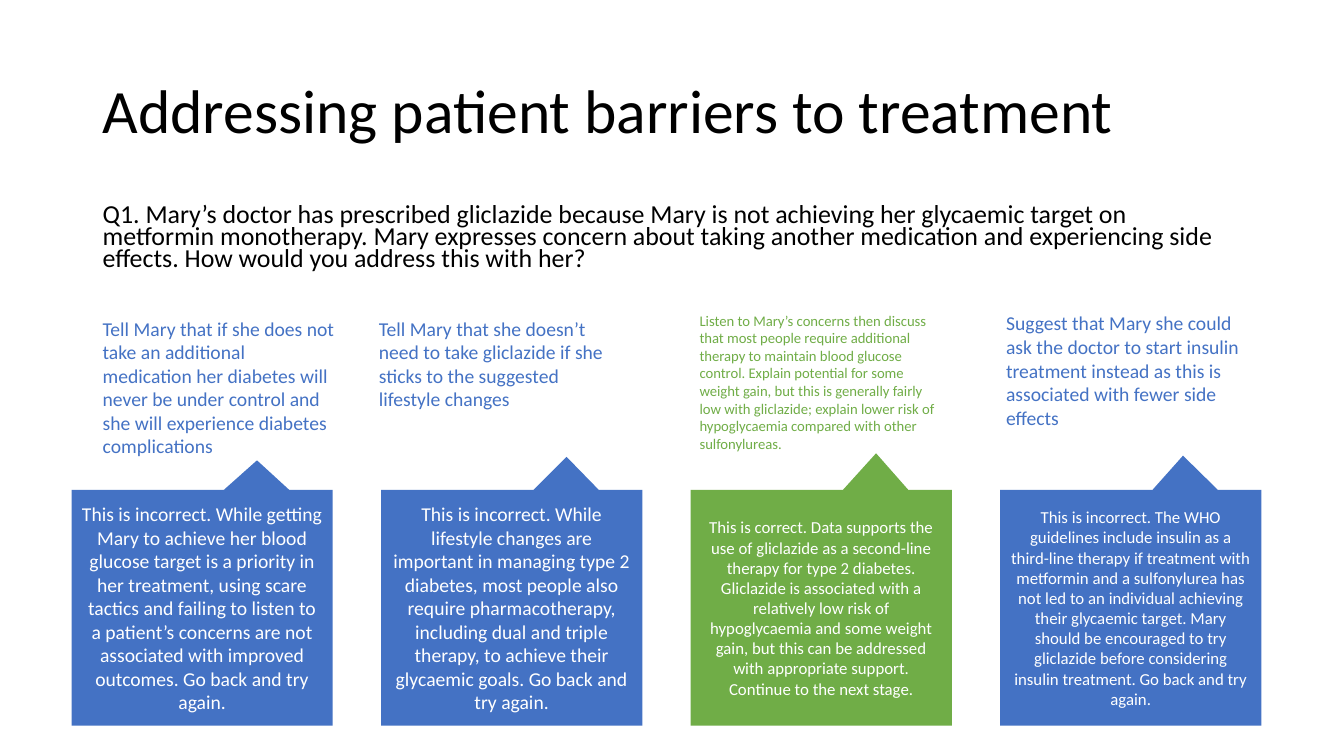
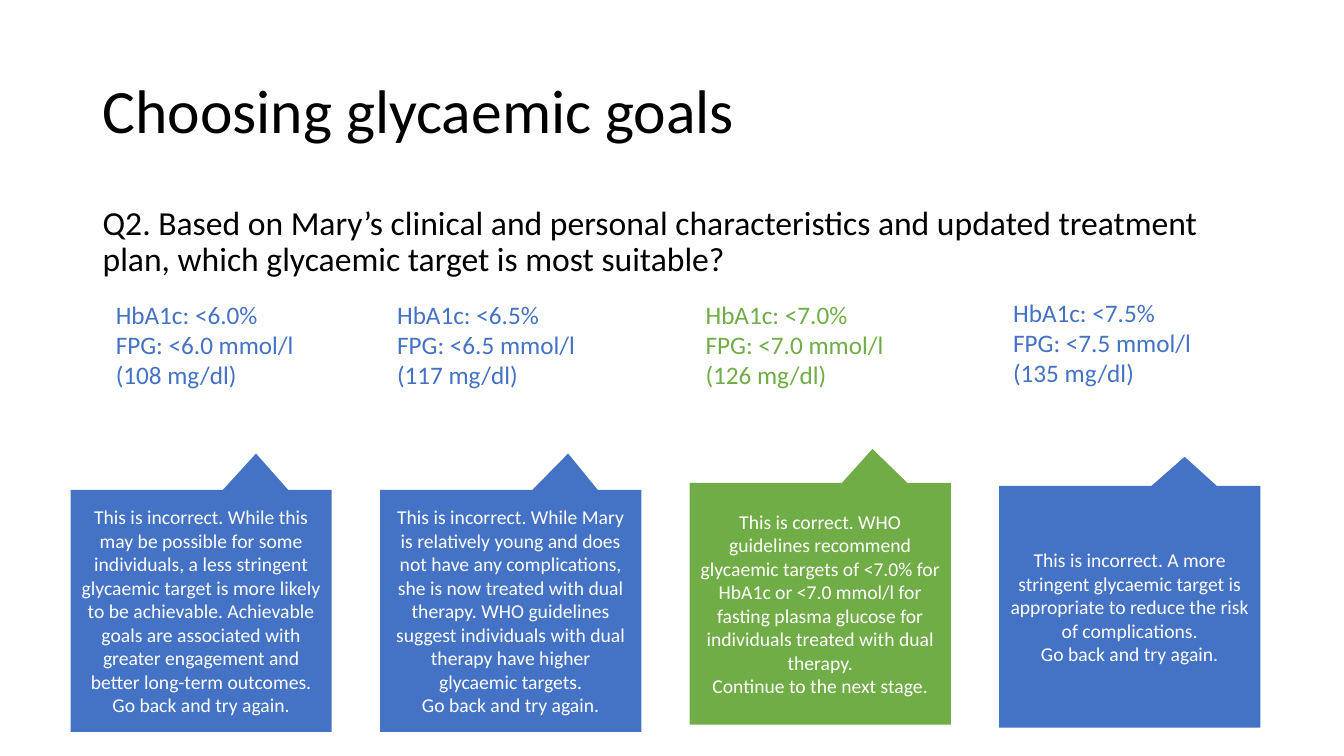
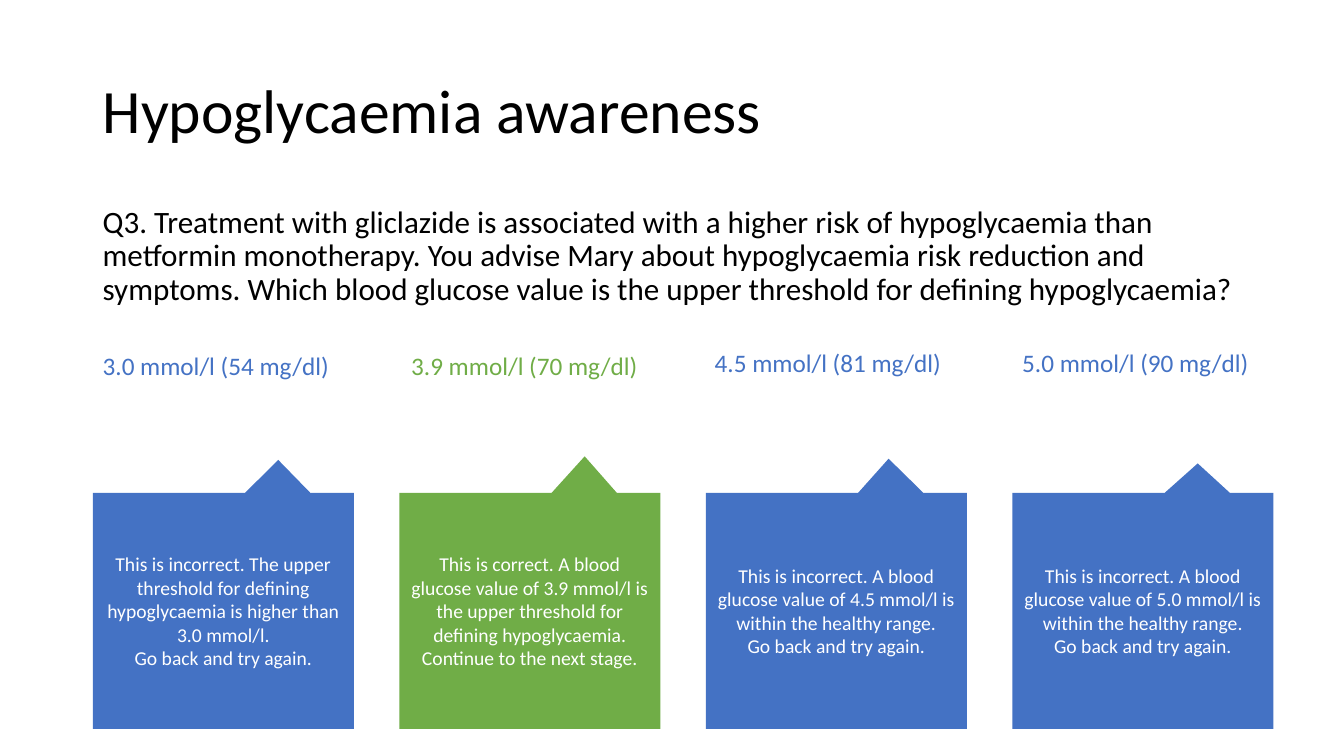
import pptx
import pptx.util
import pptx.dml.color
import pptx.enum.shapes
import pptx.enum.text
from dataclasses import dataclass

Inches = pptx.util.Inches
ALIGN = pptx.enum.text.PP_ALIGN
ANCHOR = pptx.enum.text.MSO_ANCHOR


@dataclass(frozen=True)
class Theme:
    font: str = "Calibri"
    ink: str = "000000"
    paper: str = "FFFFFF"
    wrong: str = "4472C4"
    right: str = "70AD47"
    title_size: float = 44
    label_size: float = 18
    answer_size: float = 14
    small_size: float = 12
    tiny_size: float = 10.5


THEME = Theme()
RETRY = "Go back and try again."
NEXT = "Continue to the next stage."


@dataclass
class Option:
    label: str
    feedback: str
    tip: tuple                  # callout tip, as shares of its width and height
    label_at: tuple             # label offset from column left and slide top
    correct: bool = False
    label_size: float = THEME.label_size
    feedback_size: float = THEME.answer_size
    shift: float = 0            # callout offset from the row top


@dataclass
class Quiz:
    title: str
    question: str
    question_size: float
    options: list
    row: tuple                  # left, top, column pitch, callout height
    spacing: float = 0.9
    label_width: float = 2.54


def rgb(value):
    return pptx.dml.color.RGBColor.from_string(value)


def write(shape, text, *, size, color=THEME.ink, align=ALIGN.LEFT,
          anchor=ANCHOR.TOP, spacing=1.0):
    """Fill a shape with text, one paragraph a line."""
    tf = shape.text_frame
    tf.word_wrap = True
    tf.vertical_anchor = anchor
    for i, line in enumerate(text.split("\n")):
        p = tf.paragraphs[0] if i == 0 else tf.add_paragraph()
        p.alignment = align
        p.line_spacing = spacing
        r = p.add_run()
        r.text = line
        r.font.name = THEME.font
        r.font.size = pptx.util.Pt(size)
        r.font.color.rgb = rgb(color)


def add_text(s, box, text, **fmt):
    sp = s.shapes.add_textbox(*map(Inches, box))
    write(sp, text, **fmt)


def add_heading(s, quiz, left=0.92, width=11.5):
    add_text(s, (left, 0.4, width, 1.45), quiz.title, size=THEME.title_size,
             anchor=ANCHOR.MIDDLE, spacing=0.9)
    add_text(s, (left, 2, width, 0.87), quiz.question,
             size=quiz.question_size, spacing=quiz.spacing)


def add_option(s, option, box, label_width):
    """Place an answer label and its feedback callout in a column."""
    left, top, width, height = box
    color = THEME.right if option.correct else THEME.wrong
    dx, label_top = option.label_at
    add_text(s, (left + dx, label_top, label_width, 1), option.label,
             size=option.label_size, color=color)

    # Feedback callout pointing at the label
    sp = s.shapes.add_shape(
        pptx.enum.shapes.MSO_SHAPE.RECTANGULAR_CALLOUT,
        *map(Inches, (left, top + option.shift, width, height)))
    sp.shadow.inherit = False
    sp.fill.solid()
    sp.fill.fore_color.rgb = rgb(color)
    sp.line.fill.background()
    for i, share in enumerate(option.tip):
        sp.adjustments[i] = share
    write(sp, option.feedback, size=option.feedback_size, color=THEME.paper,
          align=ALIGN.CENTER, anchor=ANCHOR.MIDDLE)


def add_quiz(prs, quiz, width=2.59):
    s = prs.slides.add_slide(prs.slide_layouts[6])
    add_heading(s, quiz)
    left, top, pitch, height = quiz.row
    for i, option in enumerate(quiz.options):
        add_option(s, option, (left + i * pitch, top, width, height),
                   quiz.label_width)


QUIZZES = [
    Quiz(
        "Addressing patient barriers to treatment",
        "Q1. Mary’s doctor has prescribed gliclazide because Mary is not "
        "achieving her glycaemic target on metformin monotherapy. Mary "
        "expresses concern about taking another medication and experiencing "
        "side effects. How would you address this with her?",
        18.5,
        [
            Option("Tell Mary that if she does not take an additional "
                   "medication her diabetes will never be under control and "
                   "she will experience diabetes complications",
                   "This is incorrect. While getting Mary to achieve her "
                   "blood glucose target is a priority in her treatment, "
                   "using scare tactics and failing to listen to a patient’s "
                   "concerns are not associated with improved outcomes. "
                   + RETRY,
                   (0.21, -0.625), (0.21, 3.09), label_size=14),
            Option("Tell Mary that she doesn’t need to take gliclazide if "
                   "she sticks to the suggested lifestyle changes",
                   "This is incorrect. While lifestyle changes are important "
                   "in managing type 2 diabetes, most people also require "
                   "pharmacotherapy, including dual and triple therapy, to "
                   "achieve their glycaemic goals. " + RETRY,
                   (0.21, -0.64), (-0.12, 3.09), label_size=14),
            Option("Listen to Mary’s concerns then discuss that most people "
                   "require additional therapy to maintain blood glucose "
                   "control. Explain potential for some weight gain, but "
                   "this is generally fairly low with gliclazide; explain "
                   "lower risk of hypoglycaemia compared with other "
                   "sulfonylureas.",
                   "This is correct. Data supports the use of gliclazide as "
                   "a second-line therapy for type 2 diabetes. Gliclazide is "
                   "associated with a relatively low risk of hypoglycaemia "
                   "and some weight gain, but this can be addressed with "
                   "appropriate support. " + NEXT,
                   (0.21, -0.655), (-0.01, 3.04), correct=True,
                   label_size=THEME.tiny_size,
                   feedback_size=THEME.small_size),
            Option("Suggest that Mary she could ask the doctor to start "
                   "insulin treatment instead as this is associated with "
                   "fewer side effects",
                   "This is incorrect. The WHO guidelines include insulin as "
                   "a third-line therapy if treatment with metformin and a "
                   "sulfonylurea has not led to an individual achieving "
                   "their glycaemic target. Mary should be encouraged to try "
                   "gliclazide before considering insulin treatment. "
                   + RETRY,
                   (0.2, -0.645), (-0.04, 3.04), label_size=14,
                   feedback_size=THEME.small_size),
        ],
        row=(0.71, 4.86, 3.07, 2.34), spacing=0.7),
    Quiz(
        "Choosing glycaemic goals",
        "Q2. Based on Mary’s clinical and personal characteristics and "
        "updated treatment plan, which glycaemic target is most suitable?",
        24,
        [
            Option("HbA1c: <6.0%\nFPG: <6.0 mmol/l (108 mg/dl)",
                   "This is incorrect. While this may be possible for some "
                   "individuals, a less stringent glycaemic target is more "
                   "likely to be achievable. Achievable goals are associated "
                   "with greater engagement and better long-term outcomes.\n"
                   + RETRY,
                   (0.21, -0.65), (0.35, 2.92)),
            Option("HbA1c: <6.5%\nFPG: <6.5 mmol/l (117 mg/dl)",
                   "This is incorrect. While Mary is relatively young and "
                   "does not have any complications, she is now treated with "
                   "dual therapy. WHO guidelines suggest individuals with "
                   "dual therapy have higher glycaemic targets.\n" + RETRY,
                   (0.22, -0.65), (0.07, 2.92)),
            Option("HbA1c: <7.0%\nFPG: <7.0 mmol/l (126 mg/dl)",
                   "This is correct. WHO guidelines recommend glycaemic "
                   "targets of <7.0% for HbA1c or <7.0 mmol/l for fasting "
                   "plasma glucose for individuals treated with dual "
                   "therapy.\n" + NEXT,
                   (0.2, -0.64), (0.06, 2.92), correct=True, shift=-0.07),
            Option("HbA1c: <7.5%\nFPG: <7.5 mmol/l (135 mg/dl)",
                   "This is incorrect. A more stringent glycaemic target is "
                   "appropriate to reduce the risk of complications.\n"
                   + RETRY,
                   (0.21, -0.62), (0.04, 2.9), shift=-0.04),
        ],
        row=(0.7, 4.86, 3.07, 2.4), label_width=2.14),
    Quiz(
        "Hypoglycaemia awareness",
        "Q3. Treatment with gliclazide is associated with a higher risk of "
        "hypoglycaemia than metformin monotherapy. You advise Mary about "
        "hypoglycaemia risk reduction and symptoms. Which blood glucose "
        "value is the upper threshold for defining hypoglycaemia?",
        22.2,
        [
            Option("3.0 mmol/l (54 mg/dl)",
                   "This is incorrect. The upper threshold for defining "
                   "hypoglycaemia is higher than 3.0 mmol/l.\n" + RETRY,
                   (0.21, -0.64), (0, 3.43)),
            Option("3.9 mmol/l (70 mg/dl)",
                   "This is correct. A blood glucose value of 3.9 mmol/l is "
                   "the upper threshold for defining hypoglycaemia.\n" + NEXT,
                   (0.21, -0.655), (0.02, 3.43), correct=True),
            Option("4.5 mmol/l (81 mg/dl)",
                   "This is incorrect. A blood glucose value of 4.5 mmol/l "
                   "is within the healthy range.\n" + RETRY,
                   (0.2, -0.645), (-0.01, 3.4)),
            Option("5.0 mmol/l (90 mg/dl)",
                   "This is incorrect. A blood glucose value of 5.0 mmol/l "
                   "is within the healthy range.\n" + RETRY,
                   (0.21, -0.625), (0, 3.4)),
        ],
        row=(0.92, 4.89, 3.04, 2.34)),
]


def main():
    prs = pptx.Presentation()
    prs.slide_width = Inches(13.33)
    prs.slide_height = Inches(7.5)
    for quiz in QUIZZES:
        add_quiz(prs, quiz)
    prs.save("out.pptx")


if __name__ == "__main__":
    main()
